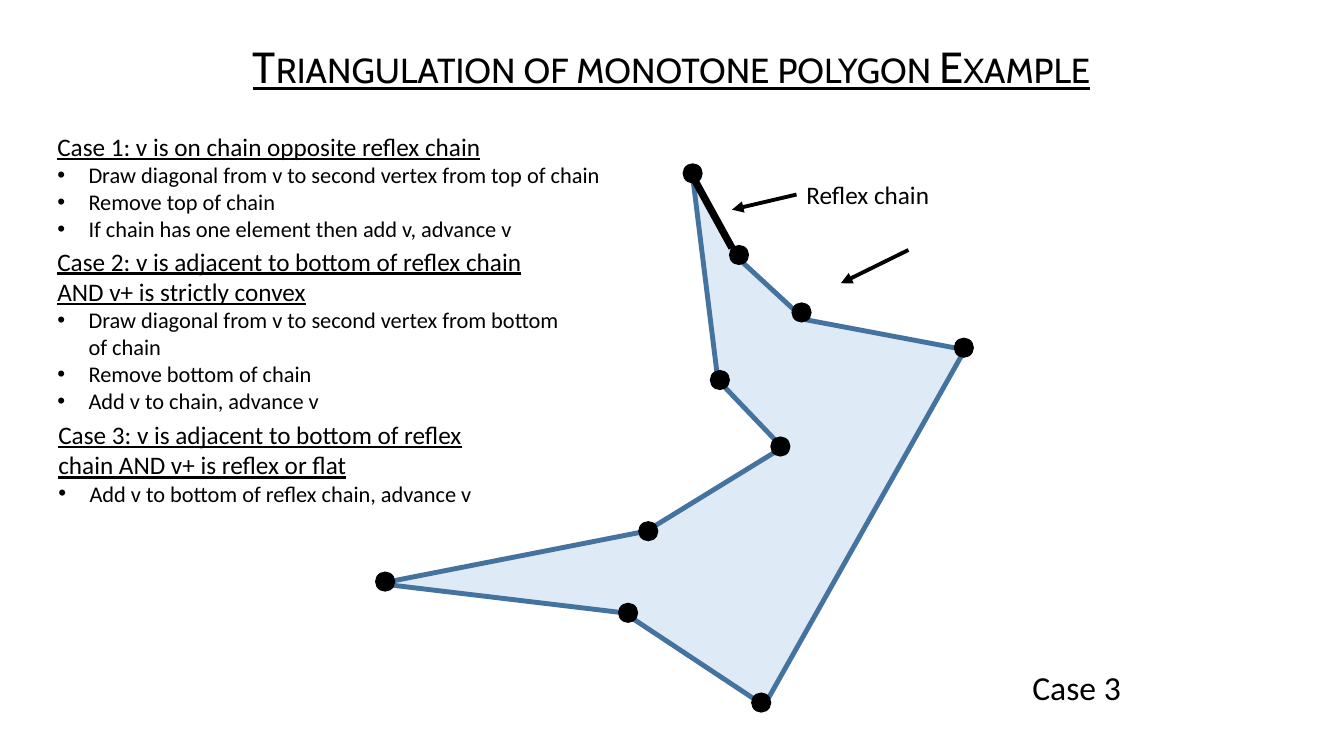
"""Build the slide on triangulating a monotone polygon."""
import pptx
import pptx.dml.color
import pptx.enum.shapes
import pptx.enum.text
import pptx.oxml.ns
import pptx.util
from lxml import etree

Inches = pptx.util.Inches
Pt = pptx.util.Pt

TITLE = "Triangulation of monotone polygon Example"
CASES = [
    ((0.47, 1.25, 5.66, 1.21), False, 0,
     "Case 1: v is on chain opposite reflex chain",
     ["Draw diagonal from v to second vertex from top of chain",
      "Remove top of chain",
      "If chain has one element then add v, advance v"]),
    ((0.47, 2.39, 5.19, 1.78), True, 0,
     "Case 2: v is adjacent to bottom of reflex chain AND v+ is strictly convex",
     ["Draw diagonal from v to second vertex from bottom of chain",
      "Remove bottom of chain",
      "Add v to chain, advance v"]),
    ((0.47, 4.11, 4.51, 0.98), True, 0.01,
     "Case 3: v is adjacent to bottom of reflex chain AND v+ is reflex or flat",
     ["Add v to bottom of reflex chain, advance v"]),
]
LABELS = [
    ("Reflex chain", (7.9, 1.73, 1.43, 0.4), 18),
    ("Case 3", (10.14, 6.57, 1.09, 0.5), 24),
]
POLYGON = [(6.87, 1.75), (7.12, 3.77), (7.76, 4.44), (6.41, 5.27), (3.76, 5.79),
           (6.19, 6.08), (7.58, 7), (9.57, 3.47), (7.98, 3.17), (7.33, 2.57)]
VERTICES = [(6.87, 1.72), (7.14, 3.77), (7.33, 2.53), (3.82, 5.77), (6.43, 5.27),
            (7.74, 4.43), (6.23, 6.08), (9.56, 3.45), (7.95, 3.1), (7.55, 6.97)]
VERTEX_SIZE = 0.2
REFLEX_CHAIN = ((6.87, 1.75), (7.26, 2.46))
ARROWS = [((9.01, 2.48), (8.34, 2.81)), ((7.9, 1.93), (7.26, 2.08))]
BLACK, PALE_BLUE, EDGE_BLUE = "000000", "DEEBF7", "43739E"
BULLET_INDENT = 0.31
TITLE_FORMAT = {"name": "Cabin", "size": Pt(31), "underline": True}
HEADING_FORMAT = {"name": "Calibri", "size": Pt(18), "underline": True}
STEP_FORMAT = {"name": "Calibri", "size": Pt(16), "underline": False}


def paint(color_format, color):
    color_format.rgb = pptx.dml.color.RGBColor.from_string(color)


def add_child(parent, tag, **attributes):
    child = etree.SubElement(parent, pptx.oxml.ns.qn(tag))
    for name, value in attributes.items():
        child.set(name, value)


def write(paragraph, text, formats):
    run = paragraph.add_run()
    run.text = text
    for name, value in formats.items():
        setattr(run.font, name, value)
    paint(run.font.color, BLACK)
    return run


def add_frame(slide, place, wrap):
    frame = slide.shapes.add_textbox(*map(Inches, place)).text_frame
    frame.word_wrap = wrap
    frame.auto_size = pptx.enum.text.MSO_AUTO_SIZE.SHAPE_TO_FIT_TEXT
    return frame


def indent(paragraph, margin, first_line):
    properties = paragraph._p.get_or_add_pPr()
    properties.set("marL", str(Inches(margin)))
    properties.set("indent", str(Inches(first_line)))
    return properties


def add_title(slide):
    title = slide.shapes.title
    title.left, title.top, title.width, title.height = map(
        Inches, (1.74, 0.29, 9.84, 0.85))
    title.text_frame.vertical_anchor = pptx.enum.text.MSO_ANCHOR.MIDDLE
    heading = title.text_frame.paragraphs[0]
    heading.alignment = pptx.enum.text.PP_ALIGN.CENTER
    heading.line_spacing = 0.7
    run = write(heading, TITLE, TITLE_FORMAT)
    run._r.get_or_add_rPr().set("cap", "small")


def add_case(slide, place, wrap, margin, heading, steps):
    frame = add_frame(slide, place, wrap)
    indent(frame.paragraphs[0], margin, 0)
    write(frame.paragraphs[0], heading, HEADING_FORMAT)
    for step in steps:
        paragraph = frame.add_paragraph()
        properties = indent(paragraph, margin + BULLET_INDENT, -BULLET_INDENT)
        add_child(properties, "a:buFont", typeface="Arial")
        add_child(properties, "a:buChar", char="•")
        write(paragraph, step, STEP_FORMAT)


def add_polygon(slide):
    corners = [(Inches(x), Inches(y)) for x, y in POLYGON]
    builder = slide.shapes.build_freeform(*corners[0])
    builder.add_line_segments(corners[1:], close=True)
    polygon = builder.convert_to_shape()
    polygon.shadow.inherit = False
    polygon.fill.solid()
    paint(polygon.fill.fore_color, PALE_BLUE)
    paint(polygon.line.color, EDGE_BLUE)
    polygon.line.width = Pt(3.5)


def add_vertex(slide, x, y):
    corner = (x - VERTEX_SIZE / 2, y - VERTEX_SIZE / 2)
    vertex = slide.shapes.add_shape(
        pptx.enum.shapes.MSO_SHAPE.OVAL,
        *map(Inches, (*corner, VERTEX_SIZE, VERTEX_SIZE)))
    vertex.shadow.inherit = False
    vertex.fill.solid()
    paint(vertex.fill.fore_color, BLACK)
    vertex.line.fill.background()


def add_line(slide, start, end, width, arrow=False):
    line = slide.shapes.add_connector(
        pptx.enum.shapes.MSO_CONNECTOR.STRAIGHT, *map(Inches, (*start, *end)))
    paint(line.line.color, BLACK)
    line.line.width = Pt(width)
    if arrow:
        add_child(line.line._get_or_add_ln(), "a:tailEnd", type="triangle")
    add_child(line._element.spPr, "a:effectLst")


def main():
    deck = pptx.Presentation()
    deck.slide_width, deck.slide_height = Inches(13.33), Inches(7.5)
    slide = deck.slides.add_slide(deck.slide_layouts.get_by_name("Title Only"))
    add_title(slide)
    add_polygon(slide)
    for vertex in VERTICES:
        add_vertex(slide, *vertex)
    add_line(slide, *REFLEX_CHAIN, 5.25)
    for arrow in ARROWS:
        add_line(slide, *arrow, 2.75, arrow=True)
    for text, place, size in LABELS:
        label = add_frame(slide, place, False)
        write(label.paragraphs[0], text, {"name": "Calibri", "size": Pt(size)})
    for case in CASES:
        add_case(slide, *case)
    deck.save("out.pptx")


if __name__ == "__main__":
    main()
